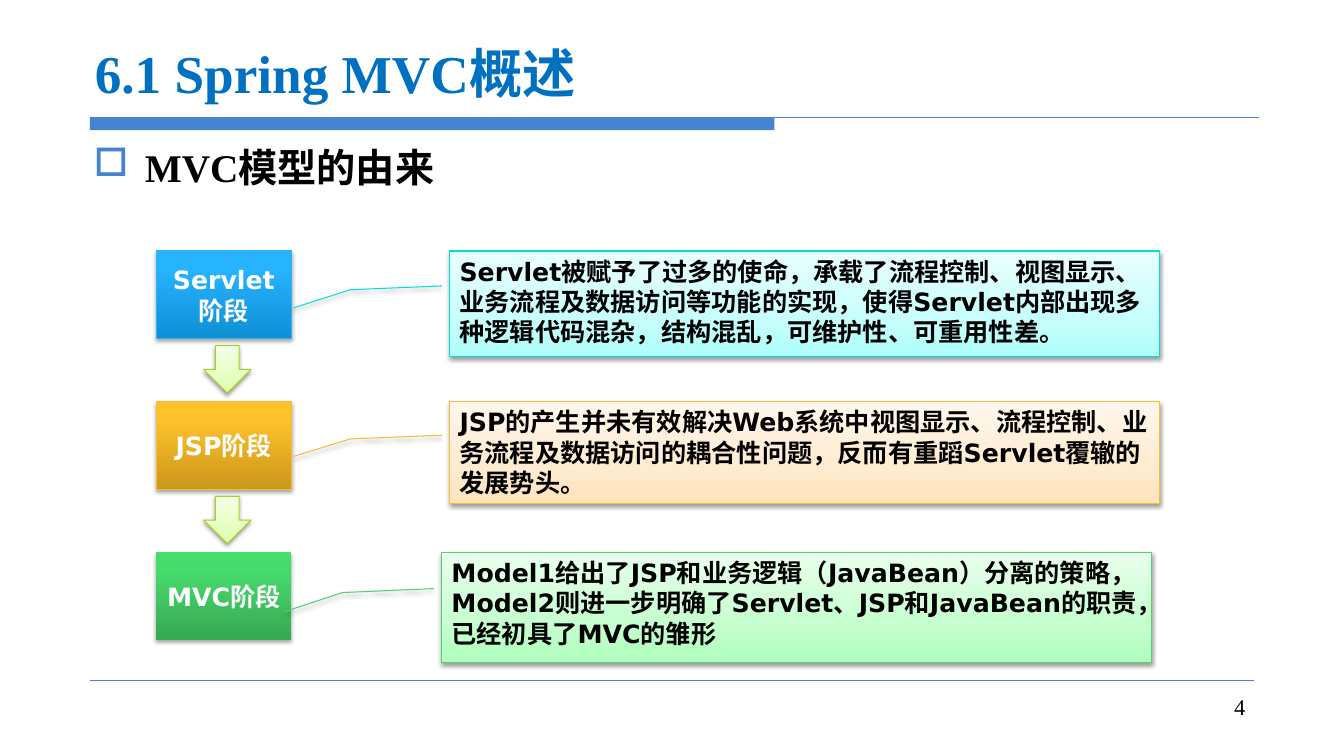
from lxml.etree import SubElement
from pptx import Presentation
from pptx.dml.color import RGBColor
from pptx.enum.shapes import MSO_CONNECTOR, MSO_SHAPE
from pptx.enum.text import MSO_ANCHOR, MSO_AUTO_SIZE, PP_ALIGN
from pptx.oxml.ns import qn
from pptx.util import Inches, Pt

SERIF = "Times New Roman"
SANS = "DejaVu Sans"
BLACK = RGBColor(0x00, 0x00, 0x00)
WHITE = RGBColor(0xFF, 0xFF, 0xFF)
TITLE_BLUE = RGBColor(0x00, 0x70, 0xC0)
RULE_BLUE = RGBColor(0x45, 0x84, 0xD3)
CYAN_EDGE = RGBColor(0x00, 0xE0, 0xDB)
BLUE_EDGE = RGBColor(0x2B, 0xB4, 0xFC)
AMBER_EDGE = RGBColor(0xF4, 0xBE, 0x3A)
GREEN_EDGE = RGBColor(0x56, 0xCE, 0x74)
LIME_EDGE = RGBColor(0xA3, 0xD0, 0x23)


def shades(*colors):
    return [RGBColor.from_string(color) for color in colors]


BLUE = shades("0E8FD4", "26B3FF", "27B4FF")
AMBER = shades("CB981B", "FFC12C", "FFC22E")
GREEN = shades("37A853", "47DB6C", "45DE6B")
LIME = shades("DDFFA8", "E6FFC1", "F5FFE8")
PALE_CYAN = shades("AEFFFB", "C6FFFC", "E9FFFE")
PALE_AMBER = shades("FFE3BB", "FFEBCF", "FFF7ED")
PALE_GREEN = shades("AEFFBC", "C6FFCF", "E9FFEC")

STAGE_TOP = 2.49
STAGE_STEP = 1.495
CALLOUT_LEADER = (0.33, -0.011, 0.366, -0.14, 0.538, -0.22)

STAGES = [
    ("Servlet阶段", BLUE, BLUE_EDGE, 4.46, 1.05, PALE_CYAN, CYAN_EDGE,
     "Servlet被赋予了过多的使命，承载了流程控制、视图显示、业务流程及数据访问等功能的实现，"
     "使得Servlet内部出现多种逻辑代码混杂，结构混乱，可维护性、可重用性差。"),
    ("JSP阶段", AMBER, AMBER_EDGE, 4.46, 1.01, PALE_AMBER, AMBER_EDGE,
     "JSP的产生并未有效解决Web系统中视图显示、流程控制、业务流程及数据访问的耦合性问题，"
     "反而有重蹈Servlet覆辙的发展势头。"),
    ("MVC阶段", GREEN, None, 4.38, 1.09, PALE_GREEN, GREEN_EDGE,
     "Model1给出了JSP和业务逻辑（JavaBean）分离的策略，"
     "Model2则进一步明确了Servlet、JSP和JavaBean的职责，已经初具了MVC的雏形"),
]


def box(left, top, width, height):
    return Inches(left), Inches(top), Inches(width), Inches(height)


def write(frame, text, size, font, color, bold=True, align=PP_ALIGN.LEFT,
          anchor=MSO_ANCHOR.TOP):
    frame.word_wrap = True
    frame.auto_size = MSO_AUTO_SIZE.NONE
    frame.vertical_anchor = anchor
    paragraph = frame.paragraphs[0]
    paragraph.alignment = align
    run = paragraph.add_run()
    run.text = text
    run.font.size = Pt(size)
    run.font.name = font
    run.font.bold = bold
    run.font.color.rgb = color
    return paragraph


def add_rule(slide, left, right, y, weight):
    rule = slide.shapes.add_connector(
        MSO_CONNECTOR.STRAIGHT, Inches(left), Inches(y), Inches(right), Inches(y))
    rule.line.color.rgb = RULE_BLUE
    rule.line.width = Pt(weight)
    SubElement(rule._element.spPr, qn("a:effectLst"))


def add_title_bar(slide):
    bar = slide.shapes.add_shape(MSO_SHAPE.RECTANGLE, *box(0.89, 1.17, 6.79, 0.12))
    bar.shadow.inherit = False
    bar.fill.solid()
    bar.fill.fore_color.rgb = RULE_BLUE
    bar.line.fill.background()


def add_bullet_heading(slide, text):
    heading = slide.shapes.add_textbox(*box(0.83, 1.33, 11.67, 0.8))
    paragraph = write(heading.text_frame, text, 28, SERIF, BLACK)
    paragraph.line_spacing = 1.1
    paragraph.space_before = Pt(5.6)
    properties = paragraph._p.get_or_add_pPr()
    properties.set("marL", str(Inches(0.51)))
    properties.set("indent", str(-Inches(0.51)))
    bullet_color = SubElement(properties, qn("a:buClr"))
    SubElement(bullet_color, qn("a:srgbClr"), val=str(RULE_BLUE))
    SubElement(properties, qn("a:buChar"), char="□")


def add_glossy_shape(slide, preset, place, colors, middle, edge, opacity, distance):
    shape = slide.shapes.add_shape(preset, *box(*place))
    shape.fill.gradient()
    shape.fill.gradient_angle = 90
    properties = shape._element.spPr
    stops = properties.find(qn("a:gradFill")).find(qn("a:gsLst"))
    for stop in list(stops):
        stops.remove(stop)
    for position, color in zip((0, middle, 100), colors):
        stop = SubElement(stops, qn("a:gs"), pos=str(position * 1000))
        SubElement(stop, qn("a:srgbClr"), val=str(color))
    if edge is None:
        shape.line.fill.background()
    else:
        shape.line.color.rgb = edge
        shape.line.width = Pt(0.75)
    shape.shadow.inherit = False
    shadow = SubElement(
        properties.find(qn("a:effectLst")), qn("a:outerShdw"), blurRad=str(Pt(3.1)),
        dist=str(Pt(distance)), dir="5400000", rotWithShape="0")
    shadow_color = SubElement(shadow, qn("a:srgbClr"), val=str(BLACK))
    SubElement(shadow_color, qn("a:alpha"), val=str(opacity * 1000))
    return shape


def add_stage(slide, top, label, colors, edge):
    stage = add_glossy_shape(slide, MSO_SHAPE.RECTANGLE, (1.55, top, 1.34, 0.87),
                             colors, 80, edge, 35, 1.8)
    write(stage.text_frame, label, 18, SANS, WHITE,
          align=PP_ALIGN.CENTER, anchor=MSO_ANCHOR.MIDDLE)


def add_down_arrow(slide, top):
    add_glossy_shape(slide, MSO_SHAPE.DOWN_ARROW, (2.02, top, 0.47, 0.47),
                     LIME, 35, LIME_EDGE, 38, 1.6)


def add_callout(slide, left, top, height, colors, edge, text):
    callout = add_glossy_shape(slide, MSO_SHAPE.LINE_CALLOUT_2,
                               (left, top, 7.04, height), colors, 35, edge, 38, 1.6)
    for index, value in enumerate(CALLOUT_LEADER):
        callout.adjustments[index] = value
    write(callout.text_frame, text, 18, SANS, BLACK)


def main():
    deck = Presentation()
    deck.slide_width, deck.slide_height = Inches(13.33), Inches(7.5)
    slide = deck.slides.add_slide(deck.slide_layouts[5])

    title = slide.shapes.title
    title.left, title.top, title.width, title.height = box(0.84, 0.25, 11.67, 0.83)
    write(title.text_frame, "6.1 Spring MVC概述", 38, SERIF, TITLE_BLUE,
          anchor=MSO_ANCHOR.BOTTOM)
    add_title_bar(slide)
    add_rule(slide, 0.89, 12.49, 1.17, 0.75)
    add_rule(slide, 0.89, 12.44, 6.75, 0.25)
    add_bullet_heading(slide, "MVC模型的由来")

    for index, (label, colors, edge, left, height, pale, pale_edge, text) in enumerate(STAGES):
        top = STAGE_TOP + index * STAGE_STEP
        add_stage(slide, top, label, colors, edge)
        if index < len(STAGES) - 1:
            add_down_arrow(slide, top + 0.94)
        add_callout(slide, left, top, height, pale, pale_edge, text)

    page_number = slide.shapes.add_textbox(*box(9.56, 6.83, 2.89, 0.52))
    write(page_number.text_frame, "4", 16, SERIF, BLACK, bold=False, align=PP_ALIGN.RIGHT)
    deck.save("out.pptx")


if __name__ == "__main__":
    main()
